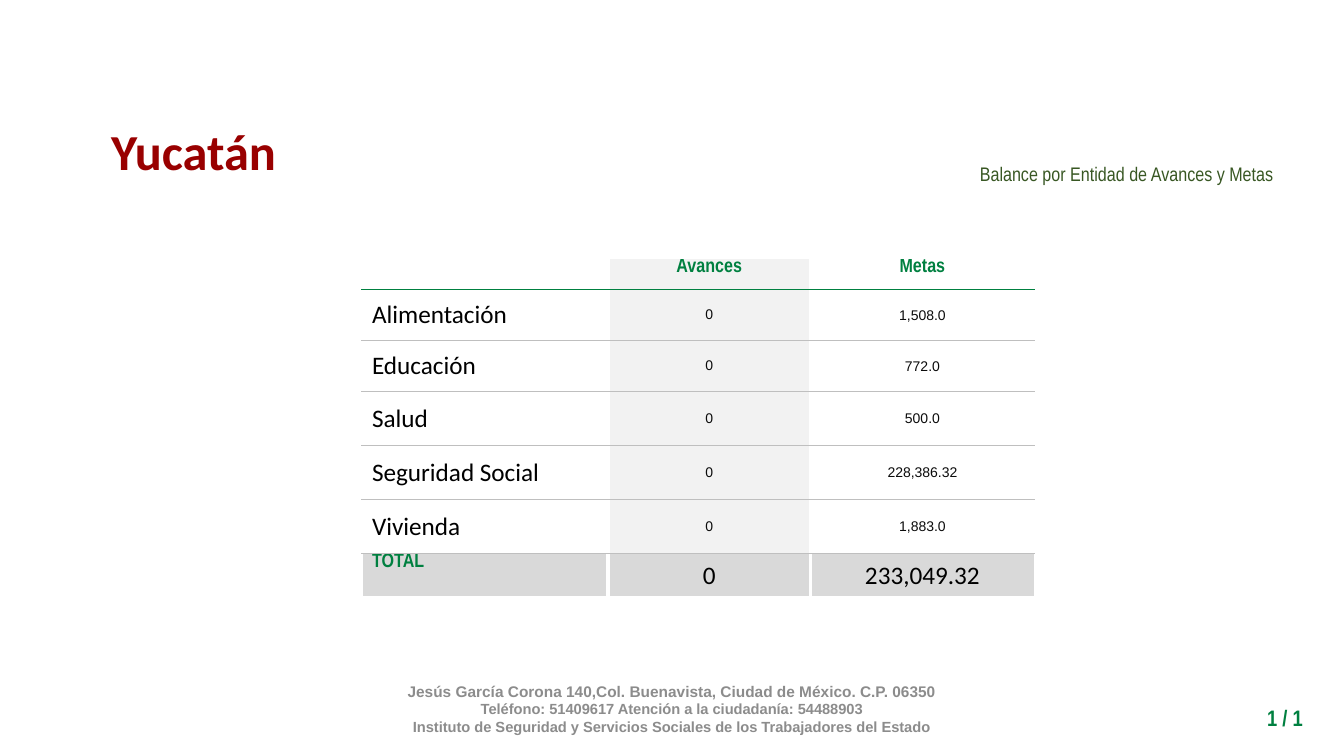
from dataclasses import dataclass

from lxml.etree import SubElement
from pptx import Presentation
from pptx.dml.color import RGBColor
from pptx.enum.text import MSO_ANCHOR, MSO_AUTO_SIZE, PP_ALIGN
from pptx.oxml.ns import qn
from pptx.slide import Slide
from pptx.table import _Cell as Cell
from pptx.text.text import TextFrame, _Paragraph as Para
from pptx.util import Inches, Pt

WIDE, HIGH = Inches(13.33), Inches(7.5)
LEFT, MID, RIGHT = PP_ALIGN.LEFT, PP_ALIGN.CENTER, PP_ALIGN.RIGHT


@dataclass(frozen=True)
class Font:
    name: str
    size: float
    color: str
    bold: bool = False


@dataclass(frozen=True)
class Theme:
    title: Font = Font("Calibri", 36, "990000", True)
    note: Font = Font("Arial Narrow", 14, "385723")
    page: Font = Font("Arial Narrow", 16, "008040", True)
    head: Font = Font("Arial Narrow", 14, "008040", True)
    label: Font = Font("Calibri", 18, "000000")
    value: Font = Font("Arial", 10, "0B0B0B")
    address: Font = Font("Arial", 11, "8C8C8C", True)
    phone: Font = Font("Arial", 10.5, "8C8C8C", True)
    shade: str = "F2F2F2"
    total: str = "D9D9D9"
    rule: str = "BFBFBF"
    green: str = "008040"
    white: str = "FFFFFF"


@dataclass(frozen=True)
class Box:
    """A place on the slide, in percent of its width and height."""
    left: float
    top: float
    wide: float
    high: float

    def place(self) -> tuple[int, int, int, int]:
        return across(self.left), down(self.top), across(self.wide), down(self.high)


@dataclass(frozen=True)
class Line:
    text: str
    font: Font


@dataclass(frozen=True)
class Label:
    box: Box
    lines: tuple[Line, ...]
    align: PP_ALIGN
    anchor: MSO_ANCHOR = MSO_ANCHOR.MIDDLE
    space: float = 1.0


THEME = Theme()
TITLE = Label(Box(7.43, 15.2, 13.95, 9.47), (Line("Yucatán", THEME.title),),
              MID, MSO_ANCHOR.TOP)
LABELS = (
    Label(Box(21.61, 91.07, 56.79, 5.33), (
        Line("Jesús García Corona 140,Col. Buenavista, Ciudad de México. C.P. 06350",
             THEME.address),
        Line("Teléfono: 51409617 Atención a la ciudadanía: 54488903", THEME.phone),
        Line("Instituto de Seguridad y Servicios Sociales de los Trabajadores del Estado",
             THEME.phone),
    ), MID),
    Label(Box(50.19, 16.4, 45.31, 12.67),
          (Line("Balance por Entidad de Avances y Metas", THEME.note),),
          RIGHT, space=1.15),
    Label(Box(88.22, 92.53, 9.45, 4.93), (Line("1 / 1", THEME.page),),
          RIGHT, MSO_ANCHOR.TOP),
)
GRID_LEFT, GRID_TOP = 26.93, 34.13
COLS = (18.3, 15.08, 16.65)
ROWS = (4.17, 6.75, 6.75, 7.14, 7.14, 7.14, 5.89)
DATA = (
    ("", "Avances", "Metas"),
    ("Alimentación", "0", "1,508.0"),
    ("Educación", "0", "772.0"),
    ("Salud", "0", "500.0"),
    ("Seguridad Social", "0", "228,386.32"),
    ("Vivienda", "0", "1,883.0"),
    ("TOTAL", "0", "233,049.32"),
)
LAST = len(DATA) - 1


def across(share: float) -> int:
    return round(WIDE * share / 100)


def down(share: float) -> int:
    return round(HIGH * share / 100)


def style(para: Para, font: Font, align: PP_ALIGN) -> None:
    para.alignment = align
    for run in para.runs:
        run.font.name = font.name
        run.font.size = Pt(font.size)
        run.font.bold = font.bold
        run.font.color.rgb = RGBColor.from_string(font.color)


def write(frame: TextFrame, label: Label, wrap: bool = True) -> None:
    frame.text = "\n".join(line.text for line in label.lines)
    frame.word_wrap = wrap
    frame.auto_size = MSO_AUTO_SIZE.NONE
    frame.vertical_anchor = label.anchor
    for para, line in zip(frame.paragraphs, label.lines):
        style(para, line.font, label.align)
        para.line_spacing = label.space


def border(cell: Cell, side: str, color: str, size: float) -> None:
    line = SubElement(cell._tc.get_or_add_tcPr(), qn(f"a:ln{side}"), w=str(Pt(size)))
    fill = SubElement(line, qn("a:solidFill"))
    SubElement(fill, qn("a:srgbClr"), val=color)


def edge(cell: Cell, row: int, col: int) -> None:
    """Draw white gaps between columns and thin rules between rows."""
    if col > 0:
        border(cell, "L", THEME.white, 3)
    if col < len(COLS) - 1:
        border(cell, "R", THEME.white, 3)
    if row > 0:
        border(cell, "T", *((THEME.green, 0.25) if row == 1 else (THEME.rule, 0.5)))
    if row == 0:
        border(cell, "B", THEME.green, 0.25)
    elif row == LAST:
        border(cell, "B", THEME.white, 3)
    else:
        border(cell, "B", THEME.rule, 0.5)


def paint(cell: Cell, row: int, col: int) -> None:
    if row == LAST or col == 1:
        cell.fill.solid()
        tone = THEME.total if row == LAST else THEME.shade
        cell.fill.fore_color.rgb = RGBColor.from_string(tone)
    else:
        cell.fill.background()


def pick(row: int, col: int) -> Font:
    if row == 0 or (row == LAST and col == 0):
        return THEME.head
    return THEME.label if row == LAST or col == 0 else THEME.value


def fill_cell(cell: Cell, row: int, col: int) -> None:
    font = pick(row, col)
    cell.text_frame.text = DATA[row][col]
    style(cell.text_frame.paragraphs[0], font, MID if col else LEFT)
    cell.vertical_anchor = MSO_ANCHOR.TOP if font == THEME.head else MSO_ANCHOR.MIDDLE
    if font == THEME.head:
        cell.margin_top = cell.margin_bottom = 0
    elif col == 2:
        cell.margin_left = cell.margin_right = cell.margin_top = Inches(0.01)
        cell.margin_bottom = 0
    edge(cell, row, col)
    paint(cell, row, col)


def add_grid(slide: Slide) -> None:
    box = Box(GRID_LEFT, GRID_TOP, sum(COLS), sum(ROWS))
    table = slide.shapes.add_table(len(ROWS), len(COLS), *box.place()).table
    table.first_row = table.horz_banding = False
    for col, wide in zip(table.columns, COLS):
        col.width = across(wide)
    for row, high in enumerate(ROWS):
        table.rows[row].height = down(high)
        for col in range(len(COLS)):
            fill_cell(table.cell(row, col), row, col)


def main() -> None:
    deck = Presentation()
    deck.slide_width, deck.slide_height = WIDE, HIGH
    slide = deck.slides.add_slide(deck.slide_layouts.get_by_name("Title Only"))
    title = slide.shapes.title
    title.left, title.top, title.width, title.height = TITLE.box.place()
    write(title.text_frame, TITLE, wrap=False)
    add_grid(slide)
    for label in LABELS:
        write(slide.shapes.add_textbox(*label.box.place()).text_frame, label)
    deck.save("out.pptx")


if __name__ == "__main__":
    main()
